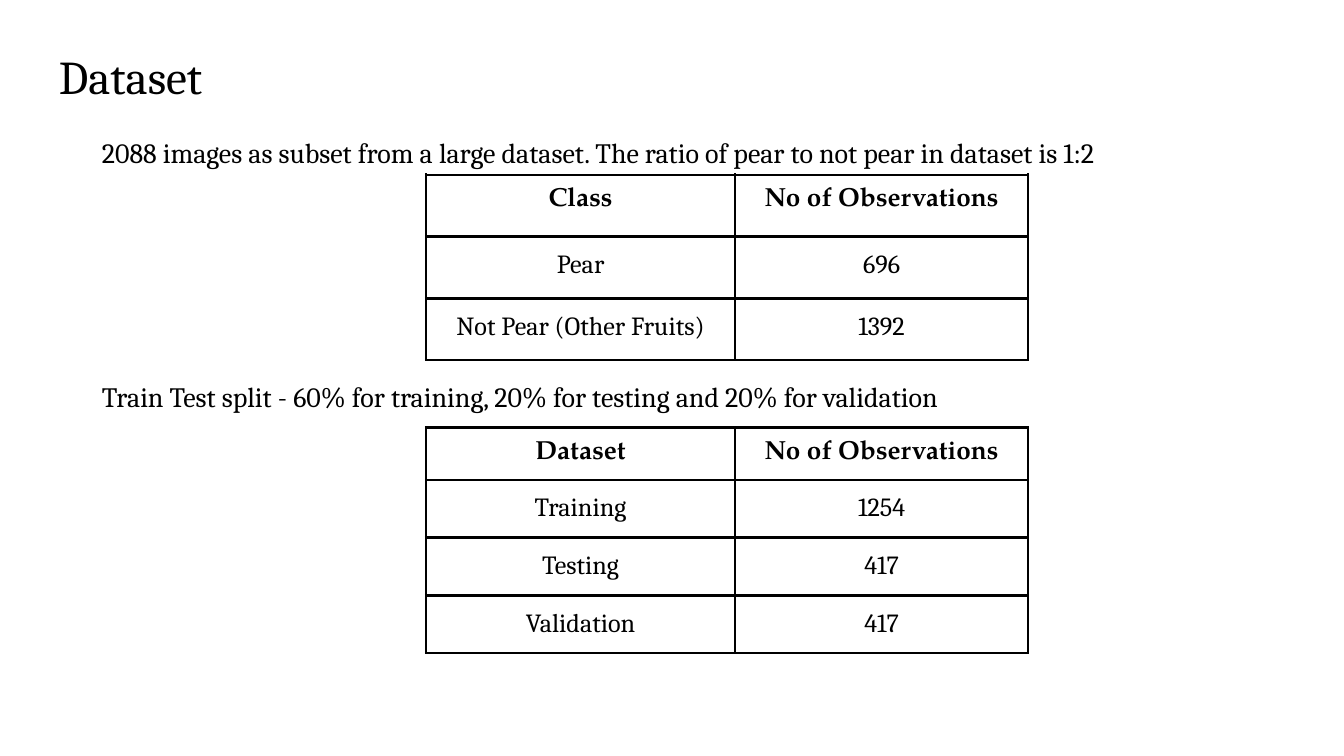
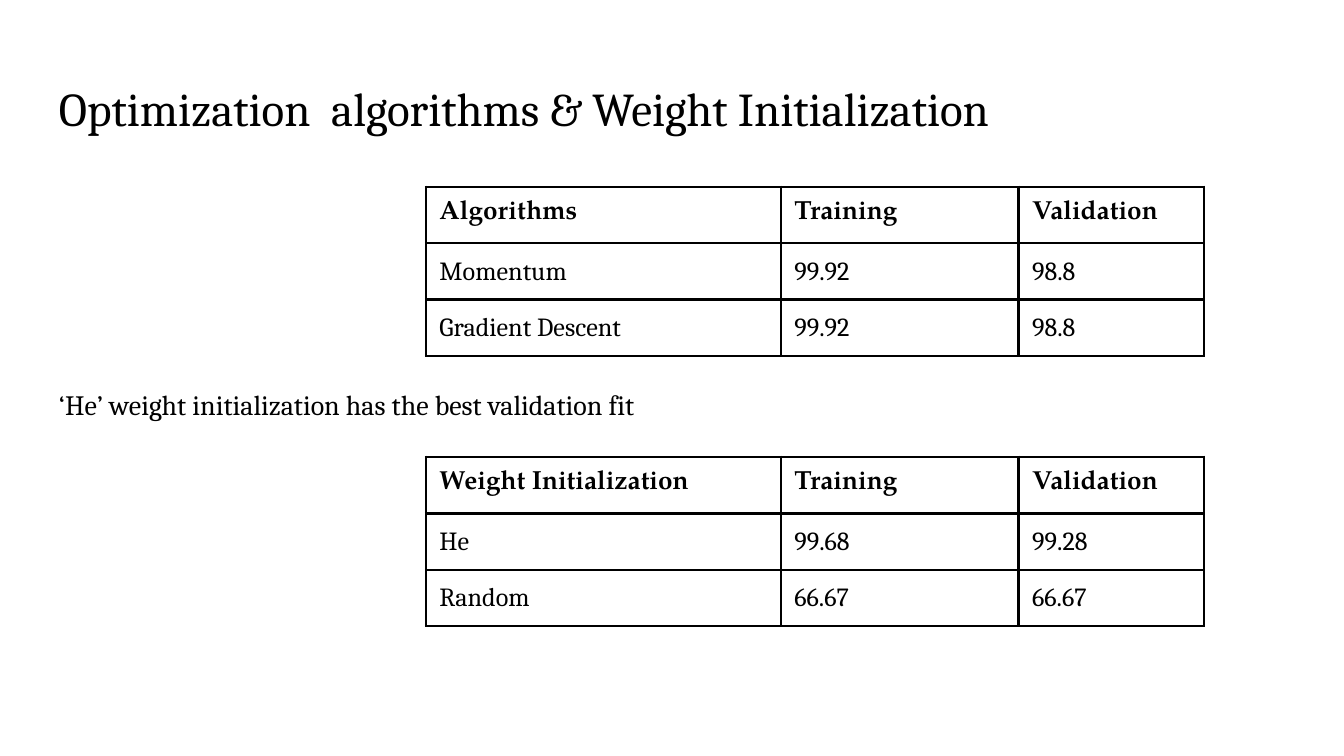
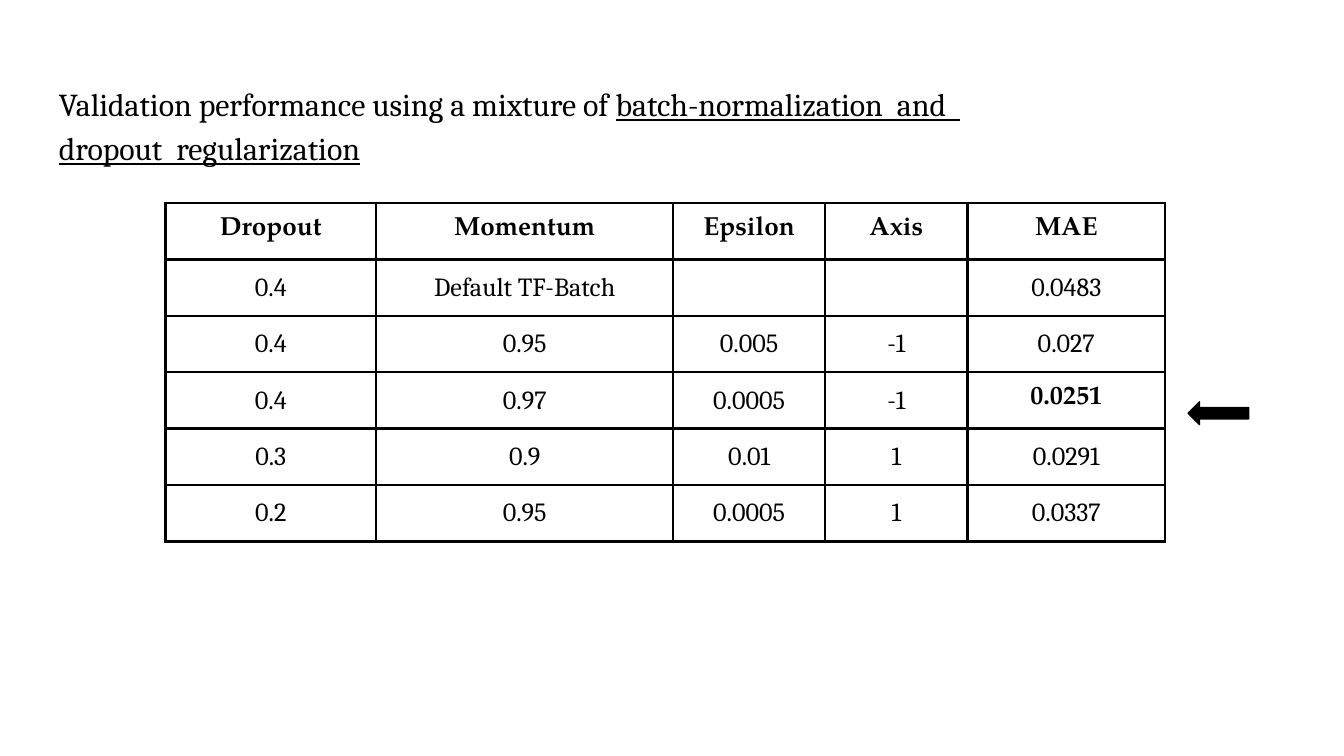
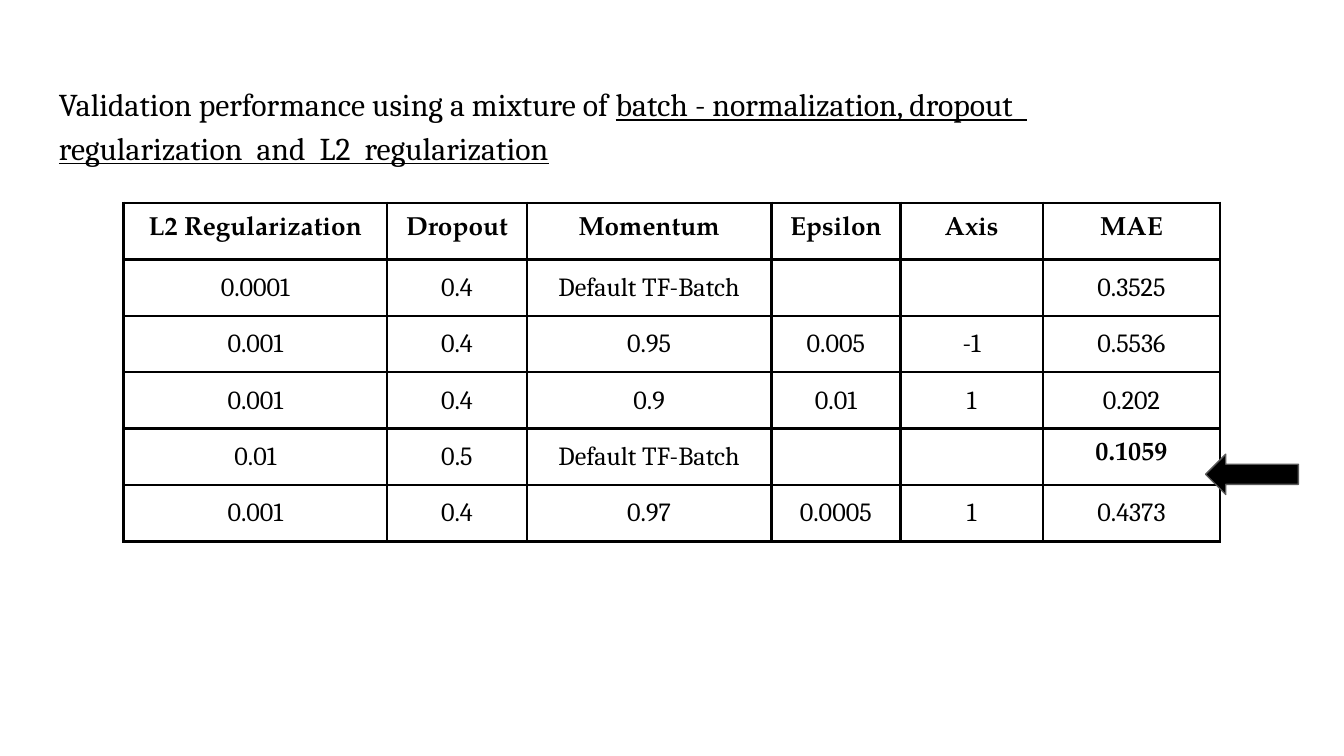
from lxml import etree
from pptx import Presentation
from pptx import util as u
from pptx.dml.color import RGBColor
from pptx.enum import shapes, text
from pptx.oxml import ns

COLORS = {"ink": "000000", "paper": "FFFFFF", "grey": "595959"}
BODY_FONT, STRONG_FONT = "Cambria", "TeX Gyre Pagella"
TITLE_SIZE, NOTE_SIZE, CELL_SIZE = 25.2, 15, 14
INSET, CELL_BOTTOM, BORDER, ROW = 0.1, 0.05, 1.5, 0.42
LEFT, WIDTH = 0.34, 9.32

# Content: titles are lists of lines, lines are lists of (words, underlined)
MIXTURE = ("Validation performance using a mixture of ", False)
COUNT = "No of Observations"
SCORES = ("Training", "Validation")
BATCH = ("Default TF-Batch", "", "")
SETTINGS = ("Dropout", "Momentum", "Epsilon", "Axis", "MAE")

SLIDES = [
    {
        "title": [[("Dataset", False)]], "title_top": 0.25,
        "notes": [
            (0.66, 0.87, "2088 images as subset from a large dataset. "
                         "The ratio of pear to not pear in dataset is 1:2"),
            (0.66, 2.69, "Train Test split - 60% for training, "
                         "20% for testing and 20% for validation"),
        ],
        "tables": [
            {"at": (3.17, 1.3), "columns": (2.3, 2.18), "heights": [0.46] * 3,
             "rows": [("Class", COUNT), ("Pear", "696"),
                      ("Not Pear (Other Fruits)", "1392")]},
            {"at": (3.17, 3.18), "columns": (2.3, 2.18),
             "heights": [0.39] + [0.43] * 3,
             "rows": [("Dataset", COUNT), ("Training", "1254"),
                      ("Testing", "417"), ("Validation", "417")]},
        ],
    },
    {
        "title": [[("Optimization  algorithms & Weight Initialization", False)]],
        "notes": [(LEFT, 2.75, "‘He’ weight initialization has the best validation fit")],
        "tables": [
            {"at": (3.17, 1.39), "columns": (2.64, 1.77, 1.38), "centred": False,
             "rows": [("Algorithms", *SCORES), ("Momentum", "99.92", "98.8"),
                      ("Gradient Descent", "99.92", "98.8")]},
            {"at": (3.17, 3.4), "columns": (2.64, 1.77, 1.38), "centred": False,
             "rows": [("Weight Initialization", *SCORES), ("He", "99.68", "99.28"),
                      ("Random", "66.67", "66.67")]},
        ],
    },
    {
        "title": [[MIXTURE, ("batch-normalization  and  ", True)],
                  [("dropout  regularization", True)]],
        "title_size": 17.1,
        "tables": [
            {"at": (1.23, 1.51), "columns": (1.57, 2.21, 1.13, 1.06, 1.47),
             "best": "0.0251",
             "rows": [SETTINGS,
                      ("0.4", *BATCH, "0.0483"),
                      ("0.4", "0.95", "0.005", "-1", "0.027"),
                      ("0.4", "0.97", "0.0005", "-1", "0.0251"),
                      ("0.3", "0.9", "0.01", "1", "0.0291"),
                      ("0.2", "0.95", "0.0005", "1", "0.0337")]},
        ],
        "arrow": (8.84, 2.99, 0.45, 0.17), "arrow_line": "ink",
    },
    {
        "title": [[MIXTURE, ("batch - normalization, dropout  ", True)],
                  [("regularization  and  L2  regularization", True)]],
        "title_size": 17,
        "tables": [
            {"at": (0.92, 1.51), "columns": (1.96, 1.04, 1.82, 0.96, 1.06, 1.32),
             "best": "0.1059",
             "rows": [("L2 Regularization", *SETTINGS),
                      ("0.0001", "0.4", *BATCH, "0.3525"),
                      ("0.001", "0.4", "0.95", "0.005", "-1", "0.5536"),
                      ("0.001", "0.4", "0.9", "0.01", "1", "0.202"),
                      ("0.01", "0.5", *BATCH, "0.1059"),
                      ("0.001", "0.4", "0.97", "0.0005", "1", "0.4373")]},
        ],
        "arrow": (8.97, 3.38, 0.69, 0.3), "arrow_line": "grey",
    },
]


def color(name):
    return RGBColor.from_string(COLORS[name])


def add_span(para, words, size, strong=False, underlined=False):
    span = para.add_run()
    span.text = words
    span.font.size = u.Centipoints(round(size * 100))
    span.font.name = STRONG_FONT if strong else BODY_FONT
    span.font.bold = strong
    if underlined:
        span.font.underline = True
    span.font.color.rgb = color("ink")


def add_text(page, left, top, width, height, lines, size, spacing=None):
    box = page.shapes.add_textbox(*map(u.Inches, (left, top, width, height)))
    frame = box.text_frame
    frame.word_wrap = True
    frame.vertical_anchor = text.MSO_ANCHOR.TOP
    frame.margin_left = frame.margin_right = u.Inches(INSET)
    frame.margin_top = frame.margin_bottom = u.Inches(INSET)
    for number, line in enumerate(lines):
        para = frame.add_paragraph() if number else frame.paragraphs[0]
        if spacing:
            para.line_spacing = spacing
        for words, underlined in line:
            add_span(para, words, size, underlined=underlined)


def add_borders(cell):
    props = cell._tc.get_or_add_tcPr()
    for position, side in enumerate("LRTB"):
        line = etree.Element(ns.qn(f"a:ln{side}"), w=str(u.Pt(BORDER)))
        fill = etree.SubElement(line, ns.qn("a:solidFill"))
        etree.SubElement(fill, ns.qn("a:srgbClr"), val=COLORS["ink"])
        props.insert(position, line)


def fill_cell(cell, words, strong, centred):
    cell.margin_left = cell.margin_right = cell.margin_top = u.Inches(INSET)
    cell.margin_bottom = u.Inches(CELL_BOTTOM)
    cell.fill.background()
    add_borders(cell)
    para = cell.text_frame.paragraphs[0]
    if centred:
        para.alignment = text.PP_ALIGN.CENTER
    if words:
        add_span(para, words, CELL_SIZE, strong)
    else:
        # Keeps empty cells from stretching their row
        etree.SubElement(para._p, ns.qn("a:endParaRPr"), sz=str(CELL_SIZE * 100))


def add_grid(page, content):
    rows, columns = content["rows"], content["columns"]
    heights = content.get("heights", [ROW] * len(rows))
    places = map(u.Inches, (*content["at"], sum(columns), sum(heights)))
    table = page.shapes.add_table(len(rows), len(columns), *places).table
    table.first_row = table.horz_banding = False
    for column, width in zip(table.columns, columns):
        column.width = u.Inches(width)
    for row, height in zip(table.rows, heights):
        row.height = u.Inches(height)
    for r, row in enumerate(rows):
        for c, words in enumerate(row):
            strong = r == 0 or words == content.get("best")
            fill_cell(table.cell(r, c), words, strong, content.get("centred", True))


def add_arrow(page, place, line):
    arrow = page.shapes.add_shape(shapes.MSO_SHAPE.LEFT_ARROW, *map(u.Inches, place))
    arrow.shadow.inherit = False
    arrow.fill.solid()
    arrow.fill.fore_color.rgb = color("ink")
    arrow.line.color.rgb = color(line)
    arrow.line.width = u.Pt(0.75)


def add_page(deck, content):
    page = deck.slides.add_slide(deck.slide_layouts[6])
    page.background.fill.solid()
    page.background.fill.fore_color.rgb = color("paper")
    lines = content["title"]
    several = len(lines) > 1
    add_text(page, LEFT, content.get("title_top", 0.49), WIDTH,
             1.06 if several else 0.63, lines,
             content.get("title_size", TITLE_SIZE), 1.15 if several else None)
    for left, top, words in content.get("notes", []):
        add_text(page, left, top, 8.94, 0.5, [[(words, False)]], NOTE_SIZE, 1.15)
    for table in content["tables"]:
        add_grid(page, table)
    if "arrow" in content:
        add_arrow(page, content["arrow"], content["arrow_line"])


def main():
    deck = Presentation()
    # Widescreen, 16 to 9
    deck.slide_width = u.Inches(10)
    deck.slide_height = u.Inches(10) * 9 // 16
    for content in SLIDES:
        add_page(deck, content)
    deck.save("out.pptx")


if __name__ == "__main__":
    main()
